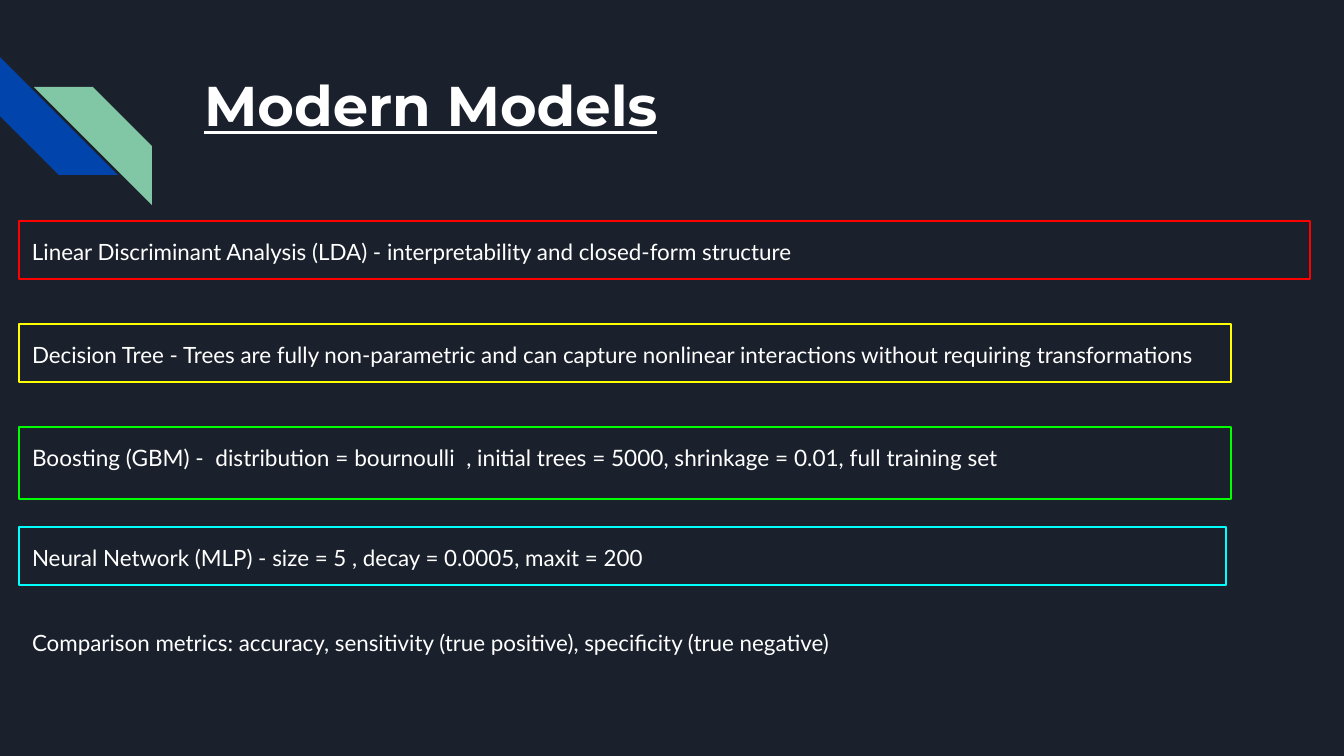
from dataclasses import dataclass

from pptx import Presentation
from pptx.dml.color import RGBColor as RGB
from pptx.enum.shapes import MSO_SHAPE as Shape
from pptx.enum.text import MSO_ANCHOR as Anchor, MSO_AUTO_SIZE as Fit, PP_ALIGN as Align
from pptx.util import Emu, Pt

SCALE = 914400 / 134.4  # EMU in one px


@dataclass(frozen=True)
class Theme:
    back: str = "1B212C"
    text: str = "FFFFFF"
    blue: str = "0145AC"
    mint: str = "82C7A5"
    head_font: str = "Montserrat"
    body_font: str = "Lato"
    head_size: float = 30
    body_size: float = 12
    boost_size: float = 12.1
    line: float = 0.75


THEME = Theme()
LEFT = 19
INSET = 13

# top, width, height, outline, type size, space after, text
MODELS = [
    (221, 1291, 58, "FF0000", THEME.body_size, 12,
     "Linear Discriminant Analysis (LDA) - interpretability and closed-form structure"),
    (324, 1212, 58, "FFFF00", THEME.body_size, 12,
     "Decision Tree - Trees are fully non-parametric and can capture nonlinear "
     "interactions without requiring transformations"),
    (427, 1212, 72, "00FF00", THEME.boost_size, 0,
     "Boosting (GBM) -  distribution = bournoulli  , initial trees = 5000, "
     "shrinkage = 0.01, full training set"),
    (527, 1207, 58, "00FFFF", THEME.body_size, 12,
     "Neural Network (MLP) - size = 5 , decay = 0.0005, maxit = 200"),
    (612, 1207, 58, None, THEME.body_size, 12,
     "Comparison metrics: accuracy, sensitivity (true positive), specificity (true negative)"),
]


def px(n):
    return Emu(round(n * SCALE))


def set_frame(frame):
    frame.word_wrap = True
    frame.auto_size = Fit.NONE
    frame.vertical_anchor = Anchor.TOP
    frame.margin_left = frame.margin_right = px(INSET)
    frame.margin_top = frame.margin_bottom = px(INSET)


def add_run(para, text, face, size):
    run = para.add_run()
    run.text = text
    run.font.name = face
    run.font.size = Pt(size)
    run.font.color.rgb = RGB.from_string(THEME.text)
    return run


def add_stripe(slide, left, top, fill, turn=0, flip=False):
    stripe = slide.shapes.add_shape(
        Shape.DIAGONAL_STRIPE, px(left), px(top), px(118), px(118))
    stripe.shadow.inherit = False
    stripe.fill.solid()
    stripe.fill.fore_color.rgb = RGB.from_string(fill)
    stripe.line.fill.background()
    stripe.rotation = turn
    if flip:
        stripe.element.spPr.xfrm.set("flipH", "1")


def set_title(slide, text):
    title = slide.shapes.title
    title.left, title.top, title.width, title.height = map(px, (191, 58, 1035, 134))
    set_frame(title.text_frame)
    para = title.text_frame.paragraphs[0]
    para.alignment = Align.LEFT
    run = add_run(para, text, THEME.head_font, THEME.head_size)
    run.font.bold = True
    run.font.underline = True


def add_model(slide, top, width, height, edge, size, after, text):
    box = slide.shapes.add_textbox(px(LEFT), px(top), px(width), px(height))
    if edge:
        box.line.color.rgb = RGB.from_string(edge)
        box.line.width = Pt(THEME.line)
    set_frame(box.text_frame)
    para = box.text_frame.paragraphs[0]
    para.line_spacing = 1.15
    para.space_after = Pt(after)
    add_run(para, text, THEME.body_font, size)


def main():
    deck = Presentation()
    deck.slide_width, deck.slide_height = px(1344), px(756)
    slide = deck.slides.add_slide(deck.slide_layouts[5])
    slide.background.fill.solid()
    slide.background.fill.fore_color.rgb = RGB.from_string(THEME.back)
    add_stripe(slide, 0, 57, THEME.blue, turn=270)
    add_stripe(slide, 34, 87, THEME.mint, flip=True)
    set_title(slide, "Modern Models")
    for model in MODELS:
        add_model(slide, *model)
    deck.save("out.pptx")


if __name__ == "__main__":
    main()
